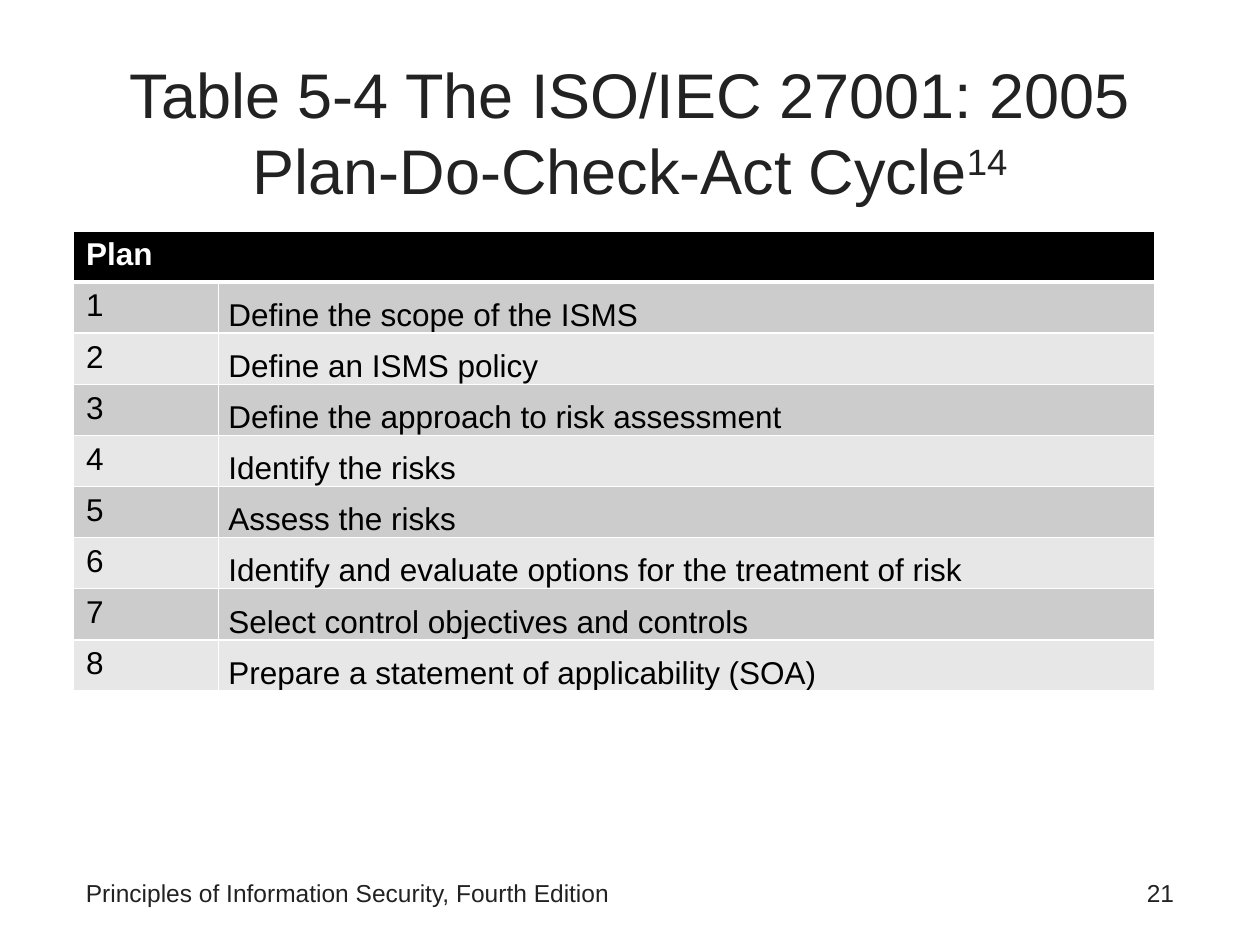
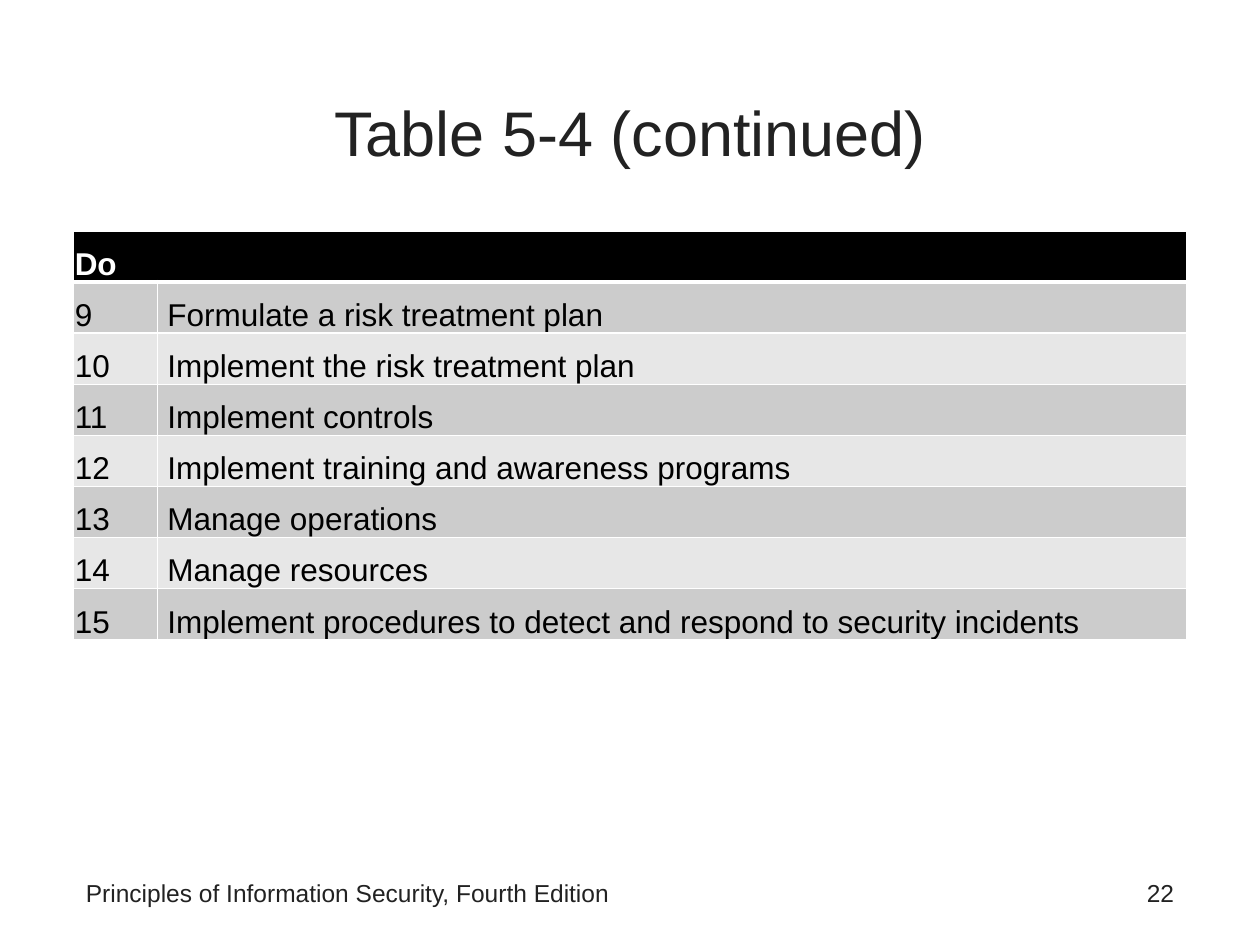
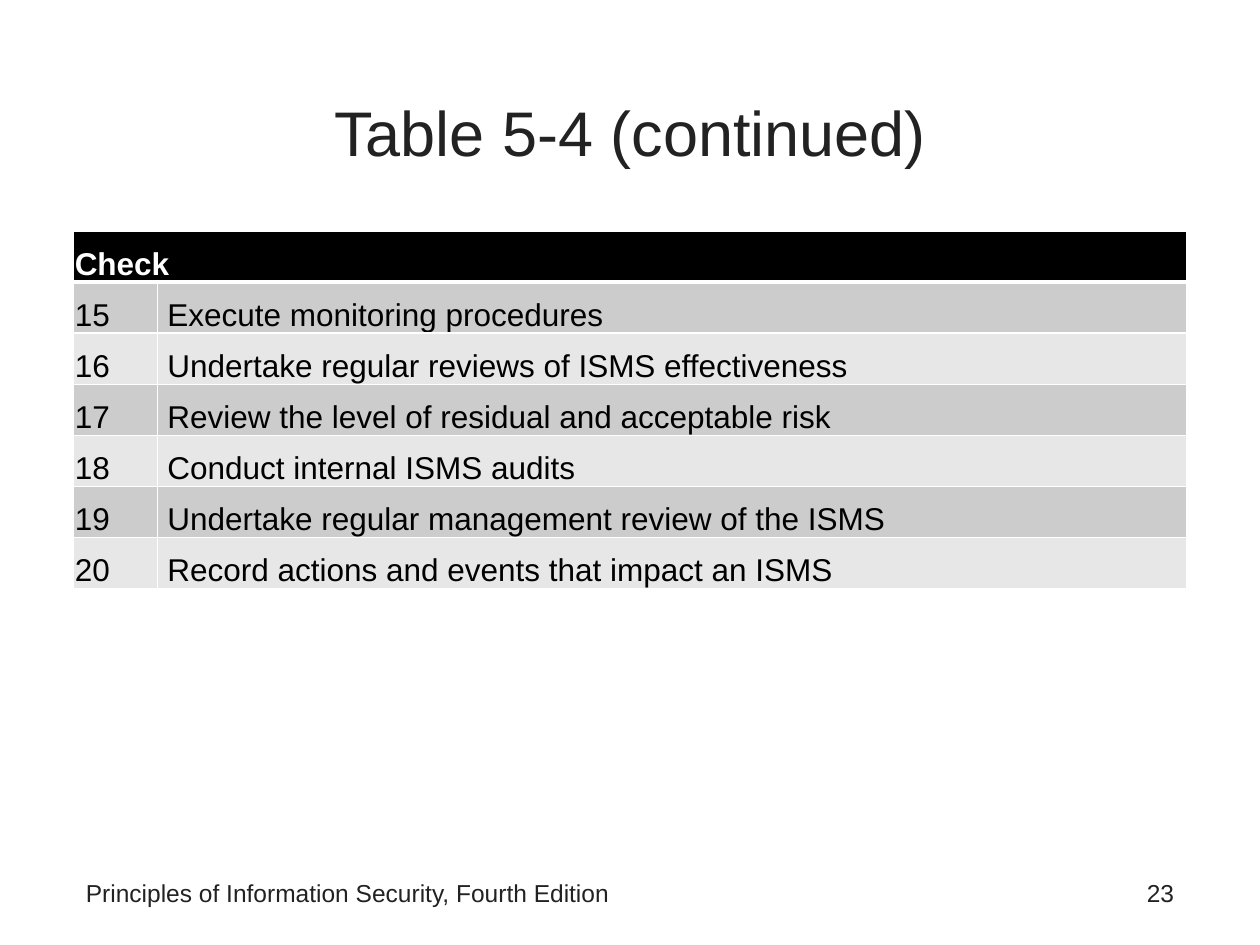
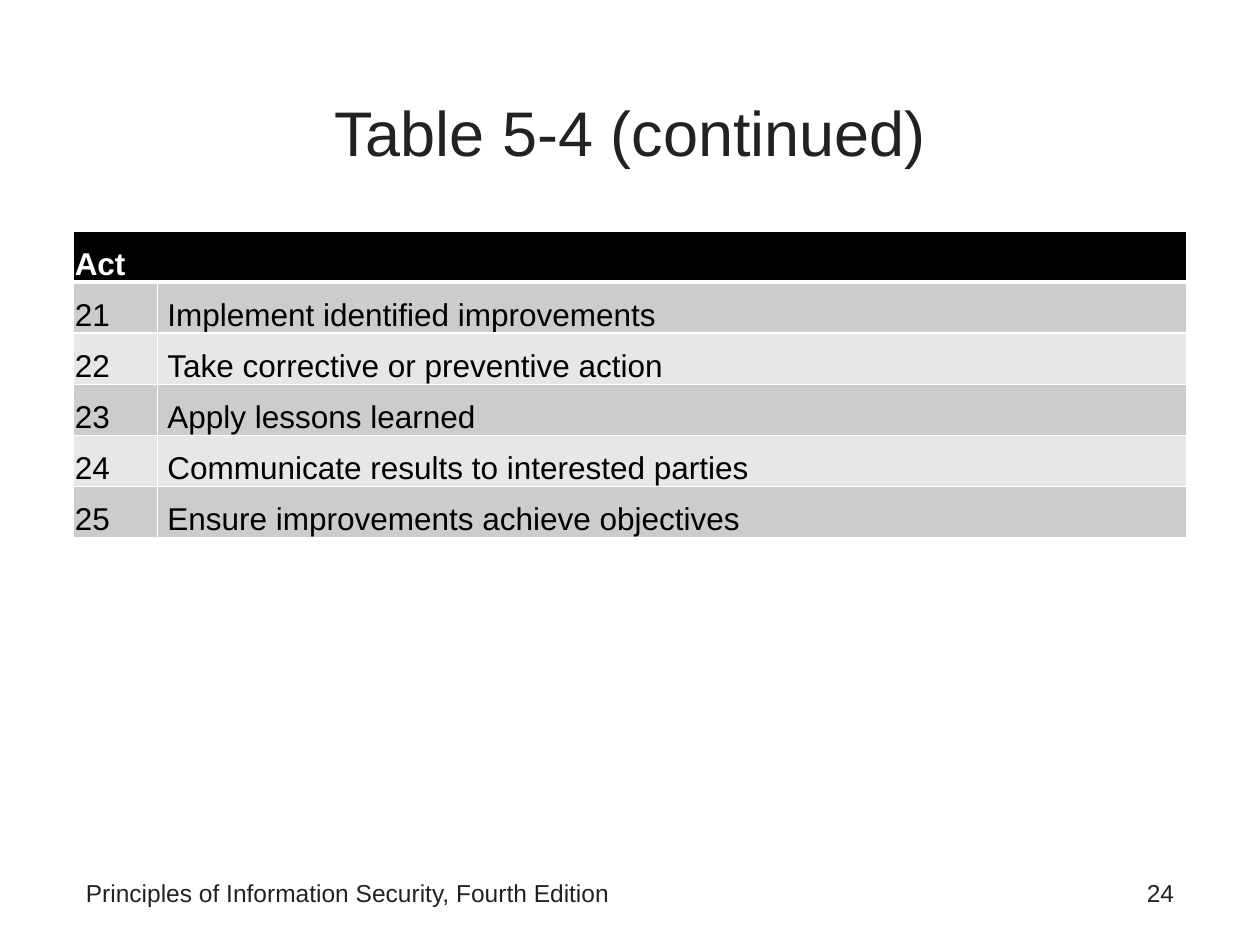
from lxml import etree
from pptx import Presentation
from pptx.dml.color import RGBColor
from pptx.enum import text
from pptx.oxml import ns
from pptx.util import Pt

# Colours
INK = RGBColor(0x22, 0x22, 0x22)
BLACK = RGBColor(0, 0, 0)
WHITE = RGBColor(0xFF, 0xFF, 0xFF)
DARK = RGBColor(0xCC, 0xCC, 0xCC)
LIGHT = RGBColor(0xE7, 0xE7, 0xE7)

# Shared layout, in points
FONT = "Arial"
LEFT, WIDTH = 42, 636
ROW = 29.2
TIGHT = (0.72, 0.72, 0.72, 0)
ROOMY = (7.2, 3.6, 7.2, 3.6)
STEP = (5.72, 0.72, 0.72, 0)
FOOT = "Principles of Information Security, Fourth Edition"

# Slide content: title, note mark, column widths, roomy first column,
# phase, first step number, steps
NEXT = "Table 5-4 (continued)"
PAGES = [
    ("Table 5-4 The ISO/IEC 27001: 2005 Plan-Do-Check-Act Cycle", "14",
     (82.8, 535), True, "Plan", 1, [
         "Define the scope of the ISMS",
         "Define an ISMS policy",
         "Define the approach to risk assessment",
         "Identify the risks",
         "Assess the risks",
         "Identify and evaluate options for the treatment of risk",
         "Select control objectives and controls",
         "Prepare a statement of applicability (SOA)"]),
    (NEXT, "", (48, 588), False, "Do", 9, [
        "Formulate a risk treatment plan",
        "Implement the risk treatment plan",
        "Implement controls",
        "Implement training and awareness programs",
        "Manage operations",
        "Manage resources",
        "Implement procedures to detect and respond to security incidents"]),
    (NEXT, "", (48, 588), False, "Check", 15, [
        "Execute monitoring procedures",
        "Undertake regular reviews of ISMS effectiveness",
        "Review the level of residual and acceptable risk",
        "Conduct internal ISMS audits",
        "Undertake regular management review of the ISMS",
        "Record actions and events that impact an ISMS"]),
    (NEXT, "", (48, 588), False, "Act", 21, [
        "Implement identified improvements",
        "Take corrective or preventive action",
        "Apply lessons learned",
        "Communicate results to interested parties",
        "Ensure improvements achieve objectives"]),
]


class Deck:
    def __init__(self):
        self.prs = Presentation()
        self.prs.slide_width, self.prs.slide_height = Pt(720), Pt(540)
        self.slide = None

    def add(self):
        self.slide = self.prs.slides.add_slide(self.prs.slide_layouts[5])

    def style(self, para, size, color, align=text.PP_ALIGN.LEFT, bold=False):
        para.alignment = align
        font = para.font
        font.name, font.size, font.bold = FONT, Pt(size), bold
        font.color.rgb = color

    def title(self, words, mark):
        box = self.slide.shapes.title
        box.left, box.top = Pt(LEFT), Pt(30)
        box.width, box.height = Pt(WIDTH), Pt(90)
        frame = box.text_frame
        frame.auto_size = text.MSO_AUTO_SIZE.NONE
        frame.vertical_anchor = text.MSO_ANCHOR.MIDDLE
        para = frame.paragraphs[0]
        para.add_run().text = words
        if mark:
            run = para.add_run()
            run.text = mark
            run.font._element.set("baseline", "30000")
        self.style(para, 36, INK, text.PP_ALIGN.CENTER)

    def label(self, words, left, width, align):
        box = self.slide.shapes.add_textbox(Pt(left), Pt(498), Pt(width), Pt(30))
        frame = box.text_frame
        frame.word_wrap = True
        frame.text = words
        self.style(frame.paragraphs[0], 14, INK, align)

    def footer(self, page):
        self.label(FOOT, LEFT, 462, text.PP_ALIGN.LEFT)
        self.label(str(page), 516, 162, text.PP_ALIGN.RIGHT)

    def border(self, cell, row):
        # The rule under the header is thicker than the others
        props = cell._tc.get_or_add_tcPr()
        wide = {"lnB": row == 0, "lnT": row == 1}
        for side in ("lnL", "lnR", "lnT", "lnB"):
            line = etree.SubElement(props, ns.qn("a:" + side))
            line.set("w", str(Pt(3 if wide.get(side) else 1)))
            fill = etree.SubElement(line, ns.qn("a:solidFill"))
            etree.SubElement(fill, ns.qn("a:srgbClr")).set("val", str(WHITE))

    def cell(self, cell, row, words, inset):
        self.border(cell, row)
        cell.fill.solid()
        cell.fill.fore_color.rgb = (DARK if row % 2 else LIGHT) if row else BLACK
        (cell.margin_left, cell.margin_top,
         cell.margin_right, cell.margin_bottom) = map(Pt, inset)
        cell.vertical_anchor = (text.MSO_ANCHOR.TOP if inset == ROOMY
                                else text.MSO_ANCHOR.BOTTOM)
        cell.text = words
        self.style(cell.text_frame.paragraphs[0], 18,
                   BLACK if row else WHITE, bold=row == 0)

    def table(self, cols, roomy, phase, first, steps):
        count = len(steps) + 1
        grid = self.slide.shapes.add_table(
            count, 2, Pt(LEFT), Pt(132), Pt(sum(cols)), Pt(ROW * count)).table
        for col, width in zip(grid.columns, cols):
            col.width = Pt(width)
        for row in grid.rows:
            row.height = Pt(ROW)
        inset = ROOMY if roomy else TIGHT
        # Header across both columns
        grid.cell(0, 0).merge(grid.cell(0, 1))
        self.cell(grid.cell(0, 0), 0, phase, inset)
        self.border(grid.cell(0, 1), 0)
        # Numbered steps
        for row, step in enumerate(steps, 1):
            self.cell(grid.cell(row, 0), row, str(first + row - 1), inset)
            self.cell(grid.cell(row, 1), row, step, STEP)


def main():
    deck = Deck()
    for page, (title, mark, *body) in enumerate(PAGES, 21):
        deck.add()
        deck.title(title, mark)
        deck.table(*body)
        deck.footer(page)
    deck.prs.save("out.pptx")


if __name__ == "__main__":
    main()
